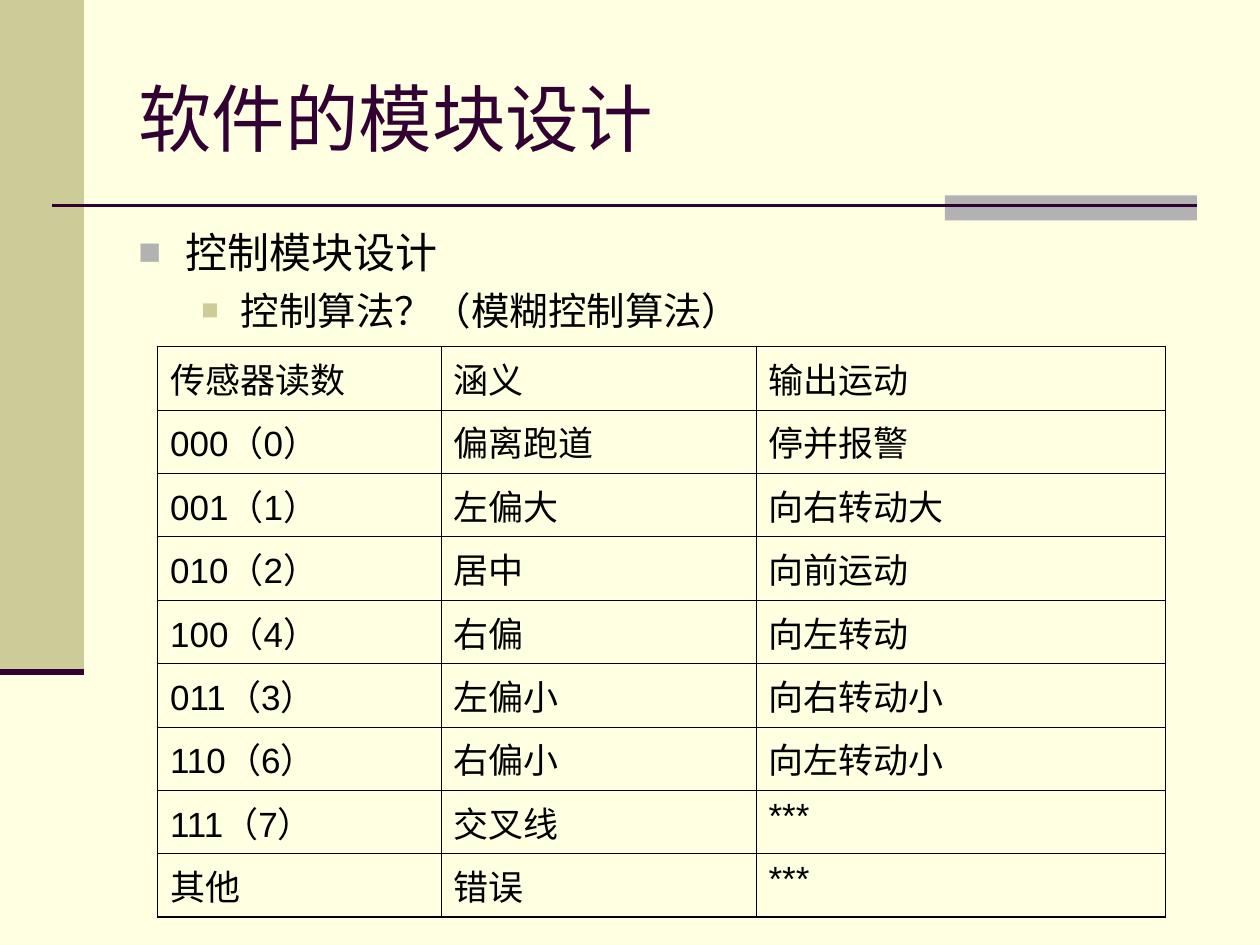
from lxml import etree
from pptx import Presentation
from pptx.dml.color import RGBColor
from pptx.enum.shapes import MSO_CONNECTOR, MSO_SHAPE
from pptx.enum.text import MSO_ANCHOR
from pptx.oxml.ns import qn
from pptx.util import Pt

RECTANGLE = MSO_SHAPE.RECTANGLE
STRAIGHT = MSO_CONNECTOR.STRAIGHT
MIDDLE = MSO_ANCHOR.MIDDLE
TOP = MSO_ANCHOR.TOP

CREAM, KHAKI, GREY, PLUM, BLACK = "FFFFE1", "CCCC99", "B2B2B2", "330033", "000000"

TITLE = "软件的模块设计"
BULLETS = [
    ("控制模块设计", 24, 6, 27, 27, GREY, 90),
    ("控制算法？（模糊控制算法）", 22, 5.5, 58.5, 22.5, KHAKI, 75),
]
ROWS = [
    ("传感器读数", "涵义", "输出运动"),
    ("000（0）", "偏离跑道", "停并报警"),
    ("001（1）", "左偏大", "向右转动大"),
    ("010（2）", "居中", "向前运动"),
    ("100（4）", "右偏", "向左转动"),
    ("011（3）", "左偏小", "向右转动小"),
    ("110（6）", "右偏小", "向左转动小"),
    ("111（7）", "交叉线", "***"),
    ("其他", "错误", "***"),
]
COLUMN_WIDTHS = [162, 180, 234]
ROW_HEIGHT = 36.25
OUTER, INNER = 1.08, 0.45

BLOCKS = [(0, 0, 48, 384, KHAKI), (540, 111.6, 144, 14.4, GREY)]
RULES = [(30, 684, 117.6, 1.5), (0, 48, 384, 3.5)]


def color(value):
    return RGBColor.from_string(value)


def add_block(page, left, top, width, height, fill):
    block = page.shapes.add_shape(RECTANGLE, Pt(left), Pt(top), Pt(width), Pt(height))
    block.shadow.inherit = False
    block.fill.solid()
    block.fill.fore_color.rgb = color(fill)
    block.line.fill.background()


def add_rule(page, start, end, y, weight):
    rule = page.shapes.add_connector(STRAIGHT, Pt(start), Pt(y), Pt(end), Pt(y))
    rule.line.color.rgb = color(PLUM)
    rule.line.width = Pt(weight)
    etree.SubElement(rule._element.spPr, qn("a:effectLst"))


def add_text_box(page, left, top, width, height, anchor):
    frame = page.shapes.add_textbox(Pt(left), Pt(top), Pt(width), Pt(height)).text_frame
    frame.word_wrap = True
    frame.vertical_anchor = anchor
    return frame


def write(para, text, size, font, value):
    para.text = text
    for span in para.runs:
        span.font.size = Pt(size)
        span.font.name = font
        span.font.color.rgb = color(value)


def set_bullet(para, margin, hanging, value, percent):
    properties = para._p.get_or_add_pPr()
    properties.set("marL", str(Pt(margin)))
    properties.set("indent", str(-Pt(hanging)))
    bullet_color = etree.SubElement(properties, qn("a:buClr"))
    etree.SubElement(bullet_color, qn("a:srgbClr"), val=value)
    etree.SubElement(properties, qn("a:buSzPct"), val=str(percent * 1000))
    etree.SubElement(properties, qn("a:buFont"), typeface="Arial")
    etree.SubElement(properties, qn("a:buChar"), char="■")


def set_borders(cell, weights):
    properties = cell._tc.get_or_add_tcPr()
    for position, (side, weight) in enumerate(weights.items()):
        border = etree.Element(qn(f"a:ln{side}"), w=str(Pt(weight)))
        fill = etree.SubElement(border, qn("a:solidFill"))
        etree.SubElement(fill, qn("a:srgbClr"), val=BLACK)
        properties.insert(position, border)


def add_sensor_table(page):
    last_row, last_column = len(ROWS) - 1, len(COLUMN_WIDTHS) - 1
    table = page.shapes.add_table(
        len(ROWS), len(COLUMN_WIDTHS), Pt(90), Pt(198),
        Pt(sum(COLUMN_WIDTHS)), Pt(ROW_HEIGHT * len(ROWS)),
    ).table
    table.first_row = False
    table.horz_banding = False
    for column, width in zip(table.columns, COLUMN_WIDTHS):
        column.width = Pt(width)
    for r, texts in enumerate(ROWS):
        table.rows[r].height = Pt(ROW_HEIGHT)
        for c, text in enumerate(texts):
            cell = table.cell(r, c)
            cell.fill.background()
            para = cell.text_frame.paragraphs[0]
            write(para, text, 20, "Arial", BLACK)
            para.space_before = Pt(5)
            set_borders(cell, {
                "L": OUTER if c == 0 else INNER,
                "R": OUTER if c == last_column else INNER,
                "T": OUTER if r == 0 else INNER,
                "B": OUTER if r == last_row else INNER,
            })


def main():
    deck = Presentation()
    deck.slide_width, deck.slide_height = Pt(720), Pt(540)
    page = deck.slides.add_slide(deck.slide_layouts[6])
    page.background.fill.solid()
    page.background.fill.fore_color.rgb = color(CREAM)

    for block in BLOCKS:
        add_block(page, *block)
    for rule in RULES:
        add_rule(page, *rule)

    title = add_text_box(page, 72, 22, 612, 90, MIDDLE)
    write(title.paragraphs[0], TITLE, 42, "Times New Roman", PLUM)

    body = add_text_box(page, 72, 126, 612, 78, TOP)
    for index, (text, size, before, *bullet) in enumerate(BULLETS):
        para = body.add_paragraph() if index else body.paragraphs[0]
        para.level = index
        write(para, text, size, "Arial", BLACK)
        para.space_before = Pt(before)
        set_bullet(para, *bullet)

    add_sensor_table(page)
    deck.save("out.pptx")


if __name__ == "__main__":
    main()
